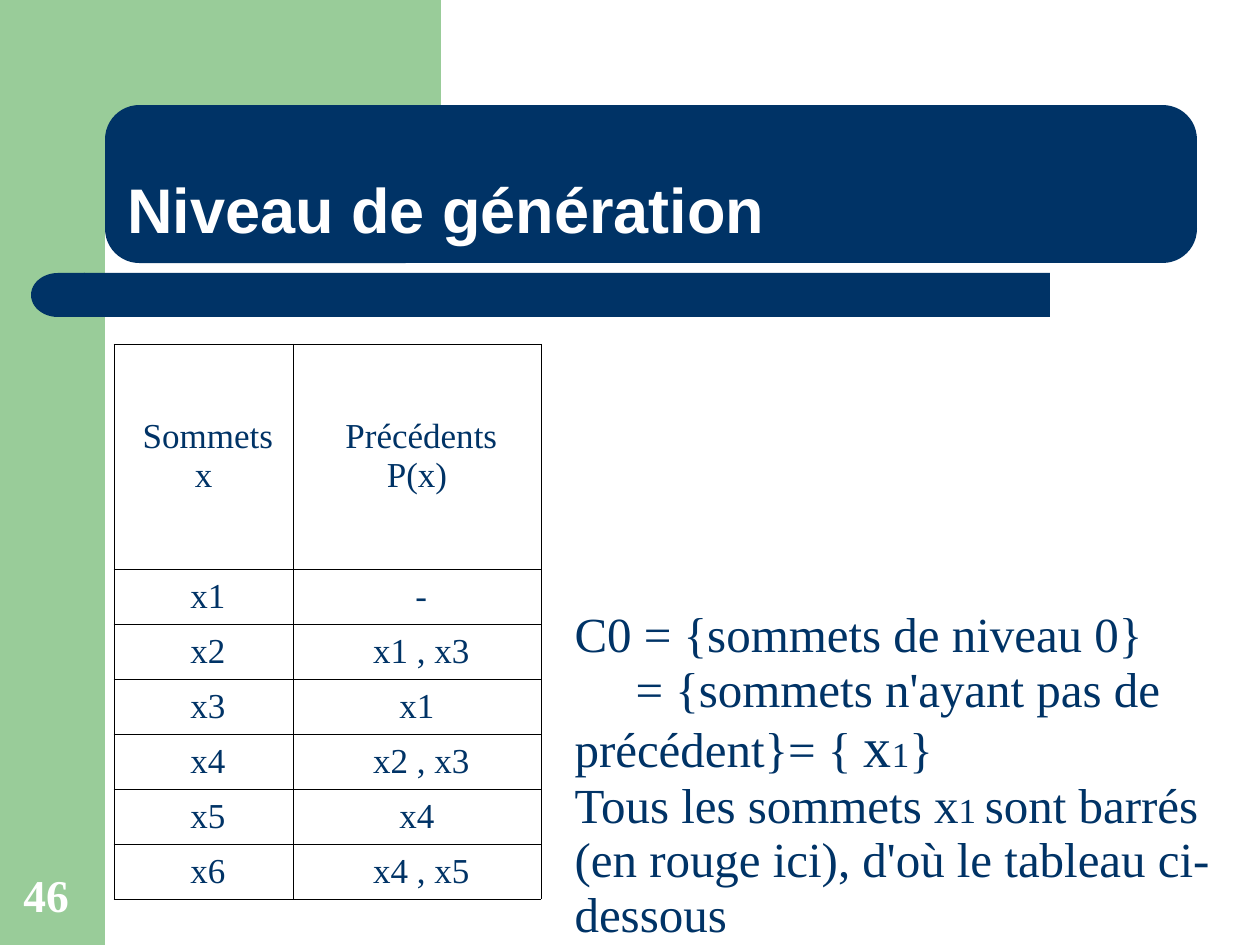
from lxml.etree import SubElement
from pptx import Presentation
from pptx.dml.color import RGBColor
from pptx.enum.shapes import MSO_SHAPE as Preset
from pptx.enum.text import MSO_ANCHOR as Anchor, PP_ALIGN as Align
from pptx.oxml.ns import qn
from pptx.util import Emu, Pt

COLORS = {"navy": "003366", "green": "99CC99", "white": "FFFFFF", "black": "000000"}
SERIF, SANS = "Times New Roman", "Arial"
PLAIN_TABLE = "{2D5ABB26-0587-4C30-8999-92F81FD0307C}"


def px(length):
    return Emu(round(length * 914400 / 126))


def color(name):
    return RGBColor.from_string(COLORS[name])


class SlideBuilder:
    def __init__(self, slide):
        self.shapes = slide.shapes

    def paint(self, shape, fill):
        shape.shadow.inherit = False
        shape.fill.solid()
        shape.fill.fore_color.rgb = color(fill)
        shape.line.fill.background()
        return shape

    def block(self, preset, box, fill, radius=None):
        shape = self.shapes.add_shape(preset, *map(px, box))
        if radius is not None:
            shape.adjustments[0] = radius
        return self.paint(shape, fill)

    def outline(self, points, fill):
        builder = self.shapes.build_freeform(*points[0], scale=914400 / 126)
        builder.add_line_segments(points[1:], close=True)
        return self.paint(builder.convert_to_shape(), fill)

    def add_text(self, frame, paragraphs, font=SERIF, ink="navy", bold=False,
                 align=Align.LEFT, spacing=None):
        """Fill a text frame; each paragraph is a list of (text, size) runs."""
        for number, runs in enumerate(paragraphs):
            paragraph = frame.paragraphs[0] if number == 0 else frame.add_paragraph()
            paragraph.alignment = align
            paragraph.line_spacing = spacing
            for text, size in runs:
                run = paragraph.add_run()
                run.text = text
                run.font.name, run.font.size, run.font.bold = font, Pt(size), bold
                run.font.color.rgb = color(ink)

    def label(self, box, text, size):
        frame = self.shapes.add_textbox(*map(px, box)).text_frame
        frame.word_wrap = True
        frame.vertical_anchor = Anchor.BOTTOM
        self.add_text(frame, [[(text, size)]], ink="white", bold=True)

    def table(self, left, top, widths, heights):
        box = left, top, sum(widths), sum(heights)
        table = self.shapes.add_table(len(heights), len(widths), *map(px, box)).table
        table.first_row = table.horz_banding = False
        table._tbl.tblPr.find(qn("a:tableStyleId")).text = PLAIN_TABLE
        for column, width in zip(table.columns, widths):
            column.width = px(width)
        for row, height in zip(table.rows, heights):
            row.height = px(height)
        for cell in table.iter_cells():
            cell.vertical_anchor = Anchor.MIDDLE
            cell.fill.background()
        return table

    def border(self, cell, ink, width):
        properties = cell._tc.get_or_add_tcPr()
        for position, side in enumerate(("a:lnL", "a:lnR", "a:lnT", "a:lnB")):
            line = SubElement(properties, qn(side), w=str(Pt(width)))
            properties.insert(position, line)
            fill = SubElement(line, qn("a:solidFill"))
            SubElement(fill, qn("a:srgbClr"), val=COLORS[ink])

    def grid(self, left, top, widths, heights, rows, size):
        table = self.table(left, top, widths, heights)
        for r, row in enumerate(rows):
            for c, text in enumerate(row):
                cell = table.cell(r, c)
                self.add_text(cell.text_frame, [[(text, size)]], align=Align.CENTER)
                self.border(cell, "black", 0.34)


def main():
    deck = Presentation()
    deck.slide_width, deck.slide_height = px(1260), px(945)
    page = SlideBuilder(deck.slides.add_slide(deck.slide_layouts[6]))

    page.block(Preset.RECTANGLE, (0, 0, 105, 945), "green")
    page.outline([(63, 0), (441, 0), (441, 105), (140, 105), (130, 107), (117, 116),
                  (108, 131), (105, 146), (105, 161), (63, 161)], "green")
    page.block(Preset.ROUNDED_RECTANGLE, (84, 273, 966, 44), "navy", radius=0)
    bar_end = page.block(Preset.FLOWCHART_DELAY, (31, 273, 54, 44), "navy")
    bar_end._element.spPr.xfrm.set("flipH", "1")

    definition = page.table(193, 373, [336, 33, 703, 33], [72] * 6 + [374])
    for column in range(3):
        definition.cell(0, column).merge(definition.cell(6, column))
    level_zero = definition.cell(0, 2).text_frame
    page.add_text(level_zero, [
        [("C0 = {sommets de niveau 0}", 28)],
        [("= {sommets n'ayant pas de précédent}= { ", 28), ("x", 32), ("1", 20), ("}", 28)],
        [("Tous les sommets x", 28), ("1 ", 20),
         ("sont barrés (en rouge ici), d'où le tableau ci-dessous", 28)],
    ])
    level_zero.paragraphs[1]._p.get_or_add_pPr().set("indent", str(px(61)))

    title = page.block(Preset.ROUNDED_RECTANGLE, (105, 105, 1092, 158), "navy", radius=0.217)
    title.text_frame.word_wrap = True
    title.text_frame.vertical_anchor = Anchor.BOTTOM
    page.add_text(title.text_frame, [[("Niveau de génération", 36)]], font=SANS,
                  ink="white", bold=True, spacing=0.9)

    predecessors = [" -", " x1 , x3", "x1", " x2 , x3", "x4", " x4 , x5"]
    rows = [(" Sommets x", " Précédents P(x)")]
    rows += [(f" x{n}", previous) for n, previous in enumerate(predecessors, 1)]
    page.grid(114, 344, [179, 248], [225] + [55] * 6, rows, 20)

    page.label((11, 861, 81, 67), "46", 26)
    deck.save("out.pptx")


if __name__ == "__main__":
    main()
